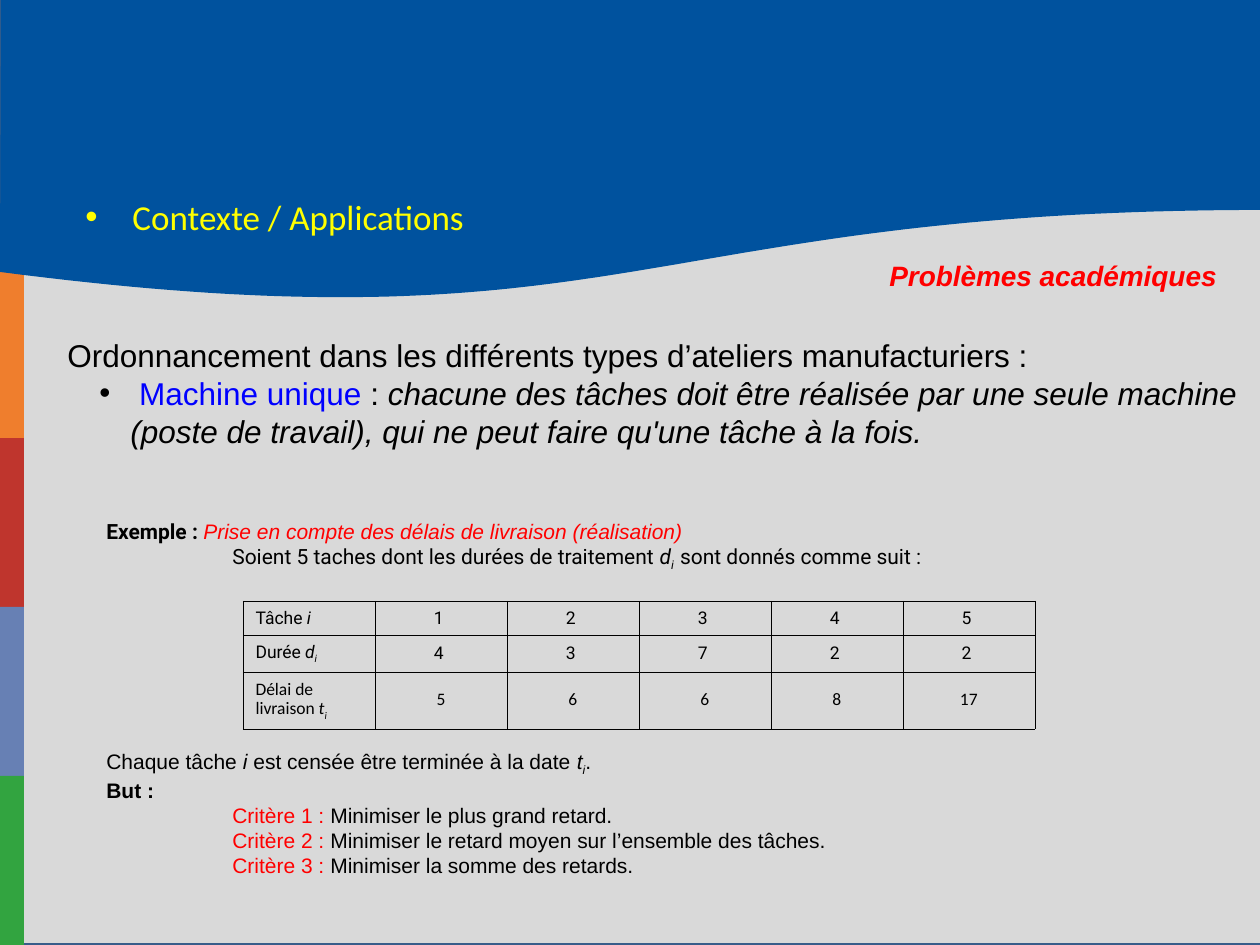
import lxml.etree
import pptx
import pptx.dml.color
import pptx.enum.shapes
import pptx.enum.text
import pptx.oxml.ns
import pptx.util

RGBColor = pptx.dml.color.RGBColor
BLACK = RGBColor(0x00, 0x00, 0x00)
RED = RGBColor(0xFF, 0x00, 0x00)
BLUE = RGBColor(0x00, 0x00, 0xFF)
YELLOW = RGBColor(0xFF, 0xFF, 0x00)
GREY = RGBColor(0xD9, 0xD9, 0xD9)
FRAME = RGBColor(0x38, 0x5D, 0x8A)
NAVY = RGBColor(0x00, 0x52, 0x9E)
BAR_COLORS = [
    RGBColor(0xEF, 0x7E, 0x2D),
    RGBColor(0xBF, 0x35, 0x2D),
    RGBColor(0x67, 0x80, 0xB4),
    RGBColor(0x32, 0xA4, 0x40),
]
PX_PER_INCH = 126
ITALIC = {"italic": True}
BOLD = {"bold": True}
ROBOTO = {"name": "Roboto"}
SUBSCRIPT = {"italic": True, "baseline": -25000}


def px(length):
    return round(length * 914400 / PX_PER_INCH)


def cubic_points(start, control_1, control_2, end, steps=80):
    """Points along a Bézier curve, without its start."""
    points = []
    for step in range(1, steps + 1):
        t = step / steps
        weights = ((1 - t) ** 3, 3 * t * (1 - t) ** 2, 3 * t * t * (1 - t), t ** 3)
        corners = (start, control_1, control_2, end)
        points.append(tuple(sum(w * c[axis] for w, c in zip(weights, corners))
                            for axis in (0, 1)))
    return points


def add_xml(parent, tag, **attributes):
    return lxml.etree.SubElement(parent, pptx.oxml.ns.qn(tag), **attributes)


class SlideBuilder:
    def __init__(self, slide, font="Arial"):
        self.slide = slide
        self.font = font

    def paint(self, shape, fill, line=None):
        shape.shadow.inherit = False
        shape.fill.solid()
        shape.fill.fore_color.rgb = fill
        if line is None:
            shape.line.fill.background()
        else:
            shape.line.color.rgb = line
            shape.line.width = pptx.util.Pt(2)

    def rectangle(self, left, top, width, height, fill, line=None):
        shape = self.slide.shapes.add_shape(
            pptx.enum.shapes.MSO_SHAPE.RECTANGLE,
            px(left), px(top), px(width), px(height))
        self.paint(shape, fill, line)

    def outline(self, points, fill):
        builder = self.slide.shapes.build_freeform(
            px(points[0][0]), px(points[0][1]), scale=1.0)
        builder.add_line_segments([(px(x), px(y)) for x, y in points[1:]], close=True)
        self.paint(builder.convert_to_shape(), fill)

    def add_runs(self, paragraph, pieces, size, **base):
        """Add runs given as (text, style changes) pairs."""
        for text, changes in pieces:
            style = {"name": self.font, "color": BLACK, **base, **changes}
            run = paragraph.add_run()
            run.text = text
            font = run.font
            font.size = pptx.util.Pt(size)
            font.name = style["name"]
            font.color.rgb = style["color"]
            font.bold = style.get("bold", False)
            font.italic = style.get("italic", False)
            if "baseline" in style:
                run._r.get_or_add_rPr().set("baseline", str(style["baseline"]))

    def text(self, left, top, width, height, size, lines):
        """Each line is (pieces, layout), layout being optional settings."""
        box = self.slide.shapes.add_textbox(px(left), px(top), px(width), px(height))
        frame = box.text_frame
        frame.word_wrap = True
        for index, (pieces, layout) in enumerate(lines):
            paragraph = frame.add_paragraph() if index else frame.paragraphs[0]
            paragraph.space_before = pptx.util.Pt(layout.get("before", 0))
            properties = paragraph._p.get_or_add_pPr()
            properties.set("marL", str(px(layout.get("margin", 0))))
            if "bullet" in layout:
                self.bullet(properties, layout["hanging"], layout["bullet"])
            self.add_runs(paragraph, pieces, size)

    def bullet(self, properties, hanging, color):
        properties.set("indent", str(-px(hanging)))
        add_xml(add_xml(properties, "a:buClr"), "a:srgbClr", val=str(color))
        add_xml(properties, "a:buFont", typeface="Arial")
        add_xml(properties, "a:buChar", char="•")

    def table(self, left, top, column_width, row_heights, rows, size):
        """Each row is (label pieces, values, font, line spacing)."""
        columns = 1 + len(rows[0][1])
        table = self.slide.shapes.add_table(
            len(rows), columns, px(left), px(top),
            px(column_width * columns), px(sum(row_heights))).table
        table.first_row = False
        table.horz_banding = False
        for column in table.columns:
            column.width = px(column_width)
        for r, (label, values, font, spacing) in enumerate(rows):
            table.rows[r].height = px(row_heights[r])
            for c, pieces in enumerate([label] + [[(value, {})] for value in values]):
                cell = table.cell(r, c)
                self.cell_frame(cell)
                paragraph = cell.text_frame.paragraphs[0]
                paragraph.line_spacing = spacing
                if c:
                    paragraph.alignment = pptx.enum.text.PP_ALIGN.CENTER
                self.add_runs(paragraph, pieces, size, name=font)

    def cell_frame(self, cell):
        cell.vertical_anchor = pptx.enum.text.MSO_ANCHOR.MIDDLE
        properties = cell._tc.get_or_add_tcPr()
        for side in "LRTB":
            line = add_xml(properties, f"a:ln{side}", w="1400")
            add_xml(add_xml(line, "a:solidFill"), "a:srgbClr", val=str(BLACK))
        cell.fill.background()


def main():
    presentation = pptx.Presentation()
    presentation.slide_width = px(1260)
    presentation.slide_height = px(945)
    builder = SlideBuilder(presentation.slides.add_slide(presentation.slide_layouts[6]))

    builder.rectangle(0, 0, 1264, 945, GREY, FRAME)
    bar_height = 169
    for index, color in enumerate(BAR_COLORS):
        builder.rectangle(0, 269 + index * bar_height, 24, bar_height, color)
    wave_start = (1264, 210)
    builder.outline([(1, 0), (1263, 0), wave_start]
                    + cubic_points(wave_start, (634, 210), (630, 354), (0, 272)), NAVY)

    builder.text(73, 189, 1113, 105, 20, [
        ([("Contexte / Applications", {"name": "Calibri", "color": YELLOW})],
         {"margin": 47, "hanging": 47, "bullet": YELLOW, "before": 4}),
    ])
    builder.text(55, 330, 1215, 277, 18, [
        ([("Ordonnancement dans les différents types d’ateliers manufacturiers :", {})], {}),
        ([(" ", {}), ("Machine unique ", {"color": BLUE}), (": ", {}),
          ("chacune des tâches doit être réalisée par une seule machine", ITALIC)],
         {"margin": 63, "hanging": 31, "bullet": BLACK}),
        ([("(poste de travail), qui ne peut faire qu'une tâche à la fois.", ITALIC)],
         {"margin": 63}),
    ])
    builder.text(877, 252, 365, 47, 16, [
        ([("Problèmes académiques", {"color": RED, **BOLD, **ITALIC})], {}),
    ])

    criteria = ["Minimiser le plus grand retard.",
                "Minimiser le retard moyen sur l’ensemble des tâches.",
                "Minimiser la somme des retards."]
    builder.text(94, 512, 1111, 398, 12, [
        ([("Exemple : ", {**ROBOTO, **BOLD}),
          ("Prise en compte des délais de livraison (réalisation)",
           {"color": RED, **ITALIC})], {}),
        ([("Soient 5 taches dont les durées de traitement ", ROBOTO),
          ("d", {**ROBOTO, **ITALIC}), ("i  ", {**ROBOTO, **SUBSCRIPT}),
          ("sont donnés comme suit :", ROBOTO)], {"margin": 126}),
        ([("Chaque tâche ", {}), ("i", ITALIC), (" est censée être terminée à la date ", {}),
          ("t", ITALIC), ("i", SUBSCRIPT), (".", {})], {"before": 101}),
        ([("But :", BOLD)], {}),
    ] + [
        ([(f"Critère {number} : ", {"color": RED}), (goal, {})], {"margin": 126})
        for number, goal in enumerate(criteria, 1)
    ])

    builder.table(243, 601, 132, [34, 36, 57], [
        ([("Tâche ", {}), ("i", ITALIC)], ["1 ", "2 ", "3 ", "4 ", "5 "], "Roboto", 1.01),
        ([("Durée", {}), (" d", ITALIC), ("i", SUBSCRIPT)],
         ["4 ", "3 ", "7 ", "2 ", "2 "], "Roboto", 1.01),
        ([("Délai de livraison ", {}), ("t", ITALIC), ("i", SUBSCRIPT)],
         ["5", "6", "6", "8", "17"], "Calibri", 0.83),
    ], 10)
    presentation.save("out.pptx")


if __name__ == "__main__":
    main()
